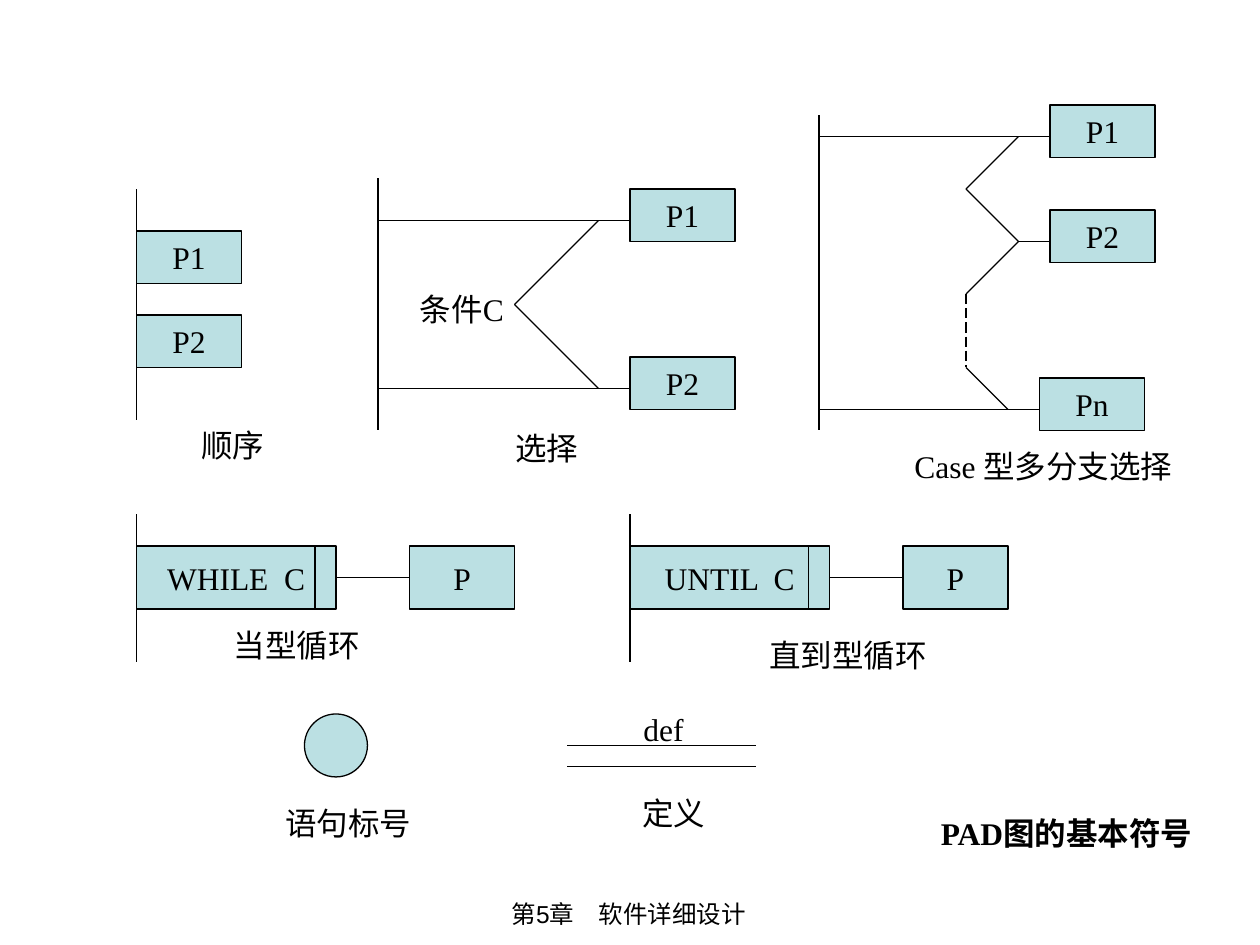
from itertools import pairwise

from lxml.etree import SubElement
from pptx import Presentation
from pptx.dml.color import RGBColor
from pptx.enum.dml import MSO_LINE
from pptx.enum.shapes import MSO_CONNECTOR, MSO_SHAPE
from pptx.enum.text import MSO_ANCHOR, MSO_AUTO_SIZE, PP_ALIGN
from pptx.oxml.ns import qn
from pptx.util import Inches, Pt

BLACK = "000000"
BOX_FILL = "BBE0E3"
SERIF = "Times New Roman"
CELLS_PER_INCH = 12
BOX_WIDTH, BOX_HEIGHT, LOOP_HEIGHT, LABEL_HEIGHT = 10, 5, 6, 4.8

# text, column, row, width in columns
LABELS = [
    ("条件C", 38.8, 27, 11),
    ("def", 60.1, 67, 6.2),
    ("顺序", 18, 40, 8.4),
    ("选择", 47.9, 40.3, 8.4),
    ("Case 型多分支选择", 85.9, 42, 27.7),
    ("当型循环", 21.1, 59, 14.4),
    ("直到型循环", 72.1, 60, 17.4),
    ("语句标号", 26, 76, 14.4),
    ("定义", 60, 75, 8.4),
]


def grid(*cells):
    """Turn columns and rows of the grid into lengths."""
    return [Inches(cell / CELLS_PER_INCH) for cell in cells]


def color(hex_text):
    return RGBColor.from_string(hex_text)


def write(shape, text, align=PP_ALIGN.LEFT, size=18, font=SERIF, bold=False,
          wrap=False, anchor=MSO_ANCHOR.TOP):
    frame = shape.text_frame
    frame.word_wrap = wrap
    frame.auto_size = MSO_AUTO_SIZE.NONE
    frame.vertical_anchor = anchor
    paragraph = frame.paragraphs[0]
    paragraph.alignment = align
    run = paragraph.add_run()
    run.text = text
    run.font.size = Pt(size)
    run.font.name = font
    run.font.bold = bold
    run.font.color.rgb = color(BLACK)


def add_symbol(slide, kind, column, row, width, height):
    shape = slide.shapes.add_shape(kind, *grid(column, row, width, height))
    shape.shadow.inherit = False
    shape.fill.solid()
    shape.fill.fore_color.rgb = color(BOX_FILL)
    shape.line.color.rgb = color(BLACK)
    shape.line.width = Pt(0.75)
    return shape


def add_box(slide, text, column, row, width=BOX_WIDTH, height=BOX_HEIGHT):
    box = add_symbol(slide, MSO_SHAPE.RECTANGLE, column, row, width, height)
    write(box, text, PP_ALIGN.CENTER, anchor=MSO_ANCHOR.MIDDLE)
    return box


def add_line(slide, start, end, dash=None):
    line = slide.shapes.add_connector(
        MSO_CONNECTOR.STRAIGHT, *grid(*start, *end))
    line.line.color.rgb = color(BLACK)
    line.line.width = Pt(0.75)
    if dash:
        line.line.dash_style = dash
    SubElement(line._element.spPr, qn("a:effectLst"))
    return line


def add_path(slide, *points):
    """Draw one straight line between each two neighbouring points."""
    for start, end in pairwise(points):
        add_line(slide, start, end)


def add_sequence(slide):
    for text, row in (("P1", 22), ("P2", 30)):
        add_box(slide, text, 13, row)
    add_line(slide, (13, 18), (13, 40))


def add_selection(slide):
    add_line(slide, (36, 17), (36, 41))
    for text, row in (("P1", 21), ("P2", 37)):
        add_line(slide, (36, row), (60, row))
        add_box(slide, text, 60, row - 3)
    add_path(slide, (57, 21), (49, 29), (57, 37))


def add_case(slide):
    add_line(slide, (78, 11), (78, 41))
    branches = (("P1", 78, 100, 13), ("P2", 97, 100, 23), ("Pn", 78, 99, 39))
    for text, start, end, row in branches:
        add_line(slide, (start, row), (end, row))
        add_box(slide, text, end, row - 3)
    add_path(slide, (97, 13), (92, 18), (97, 23), (92, 28))
    add_line(slide, (92, 28), (92, 35), MSO_LINE.LONG_DASH)
    add_line(slide, (92, 35), (96, 39))


def add_loop(slide, text, column):
    top, bottom = 52, 52 + LOOP_HEIGHT
    middle = top + LOOP_HEIGHT / 2
    add_line(slide, (column, 49), (column, 63))
    condition = add_box(slide, text, column, top, 19, LOOP_HEIGHT)
    add_line(slide, (column + 17, top), (column + 17, bottom))
    body = add_box(slide, "P", column + 26, top, BOX_WIDTH, LOOP_HEIGHT)
    link = add_line(slide, (column + 19, middle), (column + 26, middle))
    link.begin_connect(condition, 3)
    link.end_connect(body, 1)


def add_label(slide, text, column, row, width):
    label = slide.shapes.add_textbox(*grid(column, row, width, LABEL_HEIGHT))
    write(label, text)


def add_title(slide):
    title = slide.shapes.title
    title.left, title.top, title.width, title.height = grid(
        88.4, 76.9, 27.4, LABEL_HEIGHT)
    write(title, "PAD图的基本符号", bold=True)


def add_footer(slide):
    footer = slide.shapes.add_textbox(*grid(28.2, 85, 63.4, 4))
    write(footer, "第5章　软件详细设计", PP_ALIGN.CENTER, 14, "Arial", wrap=True)


def main():
    presentation = Presentation()
    presentation.slide_width = Inches(10)
    presentation.slide_height = Inches(7.5)
    slide = presentation.slides.add_slide(presentation.slide_layouts[5])

    add_title(slide)
    add_footer(slide)
    add_sequence(slide)
    add_selection(slide)
    add_case(slide)
    for text, column in (("WHILE  C", 13), ("UNTIL  C", 60)):
        add_loop(slide, text, column)
    add_symbol(slide, MSO_SHAPE.OVAL, 29, 68, 6, 6)
    for row in (71, 73):
        add_line(slide, (54, row), (72, row))
    for label in LABELS:
        add_label(slide, *label)

    presentation.save("out.pptx")


if __name__ == "__main__":
    main()
